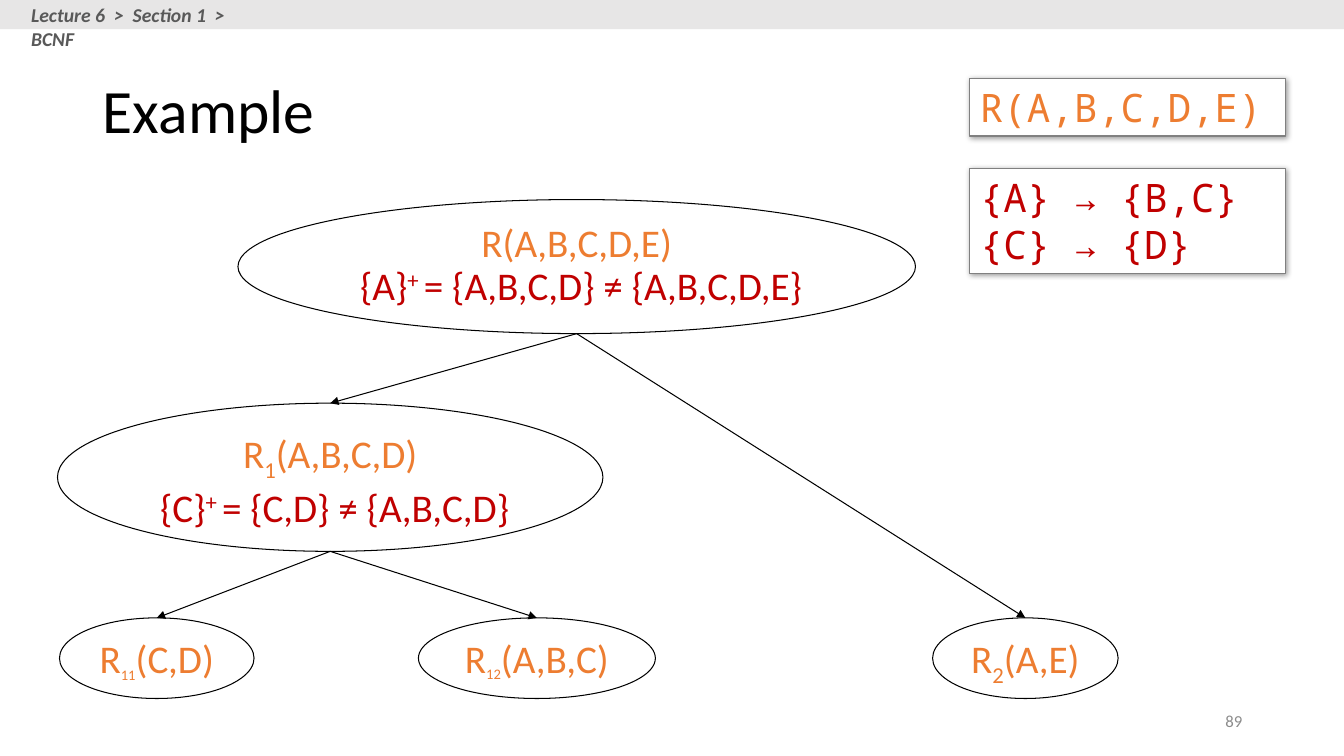
from lxml.etree import SubElement
from pptx import Presentation
from pptx.dml.color import RGBColor as RGB
from pptx.enum.shapes import MSO_CONNECTOR as LINK, MSO_SHAPE as SHAPE
from pptx.enum.text import MSO_ANCHOR as ANCHOR, PP_ALIGN as ALIGN
from pptx.oxml import parse_xml
from pptx.oxml.ns import nsdecls, qn
from pptx.util import Inches, Pt

BLACK = RGB(0x00, 0x00, 0x00)
WHITE = RGB(0xFF, 0xFF, 0xFF)
ORANGE = RGB(0xED, 0x7D, 0x31)
RED = RGB(0xC0, 0x00, 0x00)
EDGE = RGB(0x80, 0x80, 0x80)
BAND = RGB(0xE7, 0xE6, 0xE6)
DARK = RGB(0x59, 0x59, 0x59)
PALE = RGB(0x8C, 0x8C, 0x8C)
SHADOW = (
    f'<a:effectLst {nsdecls("a")}><a:outerShdw blurRad="50800" dist="12700"'
    ' dir="2700000" algn="tl" rotWithShape="0"><a:srgbClr val="000000">'
    '<a:alpha val="40000"/></a:srgbClr></a:outerShdw></a:effectLst>'
)


class Board:
    sans = "Calibri"
    mono = "Noto Sans Mono"
    size = 28
    thin = Pt(0.75)

    def __init__(self, deck):
        self.slide = deck.slides.add_slide(deck.slide_layouts[5])
        self.shapes = self.slide.shapes

    def style(self, font, size, color, name=sans):
        font.name, font.size = name, Pt(size)
        font.color.rgb = color

    def title(self, text, *box):
        head = self.shapes.title
        head.left, head.top, head.width, head.height = map(Inches, box)
        frame = head.text_frame
        frame.text, frame.vertical_anchor = text, ANCHOR.MIDDLE
        para = frame.paragraphs[0]
        para.alignment, para.line_spacing = ALIGN.LEFT, 0.9
        self.style(para.font, 44, BLACK)

    def text(self, text, box, size, color, align=ALIGN.LEFT, anchor=ANCHOR.TOP):
        frame = self.shapes.add_textbox(*map(Inches, box)).text_frame
        frame.word_wrap, frame.vertical_anchor = True, anchor
        frame.text = text
        para = frame.paragraphs[0]
        para.alignment = align
        self.style(para.font, size, color)
        return para

    def shape(self, kind, box, fill=None, line=None):
        item = self.shapes.add_shape(kind, *map(Inches, box))
        item.shadow.inherit = False
        if fill is None:
            item.fill.background()
        else:
            item.fill.solid()
            item.fill.fore_color.rgb = fill
        if line is None:
            item.line.fill.background()
        else:
            item.line.color.rgb, item.line.width = line, self.thin
        return item

    def card(self, lines, color, *box):
        item = self.shape(SHAPE.RECTANGLE, box, WHITE, EDGE)
        props = item._element.spPr
        props.replace(props.find(qn("a:effectLst")), parse_xml(SHADOW))
        frame = item.text_frame
        frame.text, frame.vertical_anchor = "\n".join(lines), ANCHOR.TOP
        for para in frame.paragraphs:
            para.alignment = ALIGN.LEFT
            self.style(para.font, self.size, color, self.mono)

    def node(self, box, sub, args, rule=None, small=size, space=None,
             anchor=ANCHOR.TOP):
        """Draw a relation R with a subscript, and its closure (set, rest)."""
        item = self.shape(SHAPE.OVAL, box, line=BLACK)
        frame = item.text_frame
        frame.word_wrap, frame.vertical_anchor = False, anchor
        para = frame.paragraphs[0]
        para.alignment, para.line_spacing = ALIGN.CENTER, space

        def run(text, color=ORANGE, base=0, size=self.size):
            part = para.add_run()
            part.text = text
            self.style(part.font, size, color)
            if base:
                part._r.get_or_add_rPr().set("baseline", str(base * 1000))

        if sub:
            run("R")
            run(sub, base=-25, size=small)
            run(args)
        else:
            run("R" + args)
        if rule:
            para.add_line_break()
            run(" " + rule[0], RED)
            run("+ ", RED, 30)
            run(rule[1], RED)
        return item

    def arrow(self, start, end):
        x, y = start.left + start.width // 2, start.top + start.height
        link = self.shapes.add_connector(LINK.STRAIGHT, x, y, x, y)
        link.end_connect(end, 0)
        link.line.color.rgb, link.line.width = BLACK, self.thin
        SubElement(link.line._get_or_add_ln(), qn("a:tailEnd"), type="triangle")
        SubElement(link._element.spPr, qn("a:effectLst"))


def main():
    deck = Presentation()
    deck.slide_width, deck.slide_height = Inches(13.33), Inches(7.5)
    board = Board(deck)
    board.text("89", (9.42, 6.95, 3, 0.4), 12, PALE, ALIGN.RIGHT, ANCHOR.MIDDLE)
    board.title("Example", 0.92, 0.4, 11.5, 1.45)

    root = board.node((2.36, 1.98, 6.72, 1.33), "", "(A,B,C,D,E)",
                      ("{A}", "= {A,B,C,D} ≠ {A,B,C,D,E}"), space=0.9)
    left = board.node((0.57, 4, 5.41, 1.47), "1", "(A,B,C,D)",
                      ("{C}", "= {C,D} ≠ {A,B,C,D}"))
    top, high = 6.13, 0.8
    right = board.node((9.25, top, 1.84, high), "2", "(A,E)")
    first = board.node((0.59, top, 1.93, high), "11", "(C,D)", small=18)
    second = board.node((4.15, top, 2.35, high), "12", "(A,B,C)", small=18,
                        anchor=ANCHOR.MIDDLE)
    for start, end in ((root, left), (root, right), (left, first), (left, second)):
        board.arrow(start, end)

    board.card(["R(A,B,C,D,E)"], ORANGE, 9.62, 0.78, 3.13, 0.57)
    board.card(["{A} → {B,C}", "{C} → {D}"], RED, 9.62, 1.67, 3.13, 1.04)

    board.shape(SHAPE.RECTANGLE, (0, 0, 13.33, 0.29), BAND)
    crumb = board.text("Lecture 6  >  Section 1  >  BCNF",
                       (0.21, -0.02, 2.61, 0.34), 14, DARK)
    crumb.font.bold = crumb.font.italic = True
    deck.save("out.pptx")


if __name__ == "__main__":
    main()
